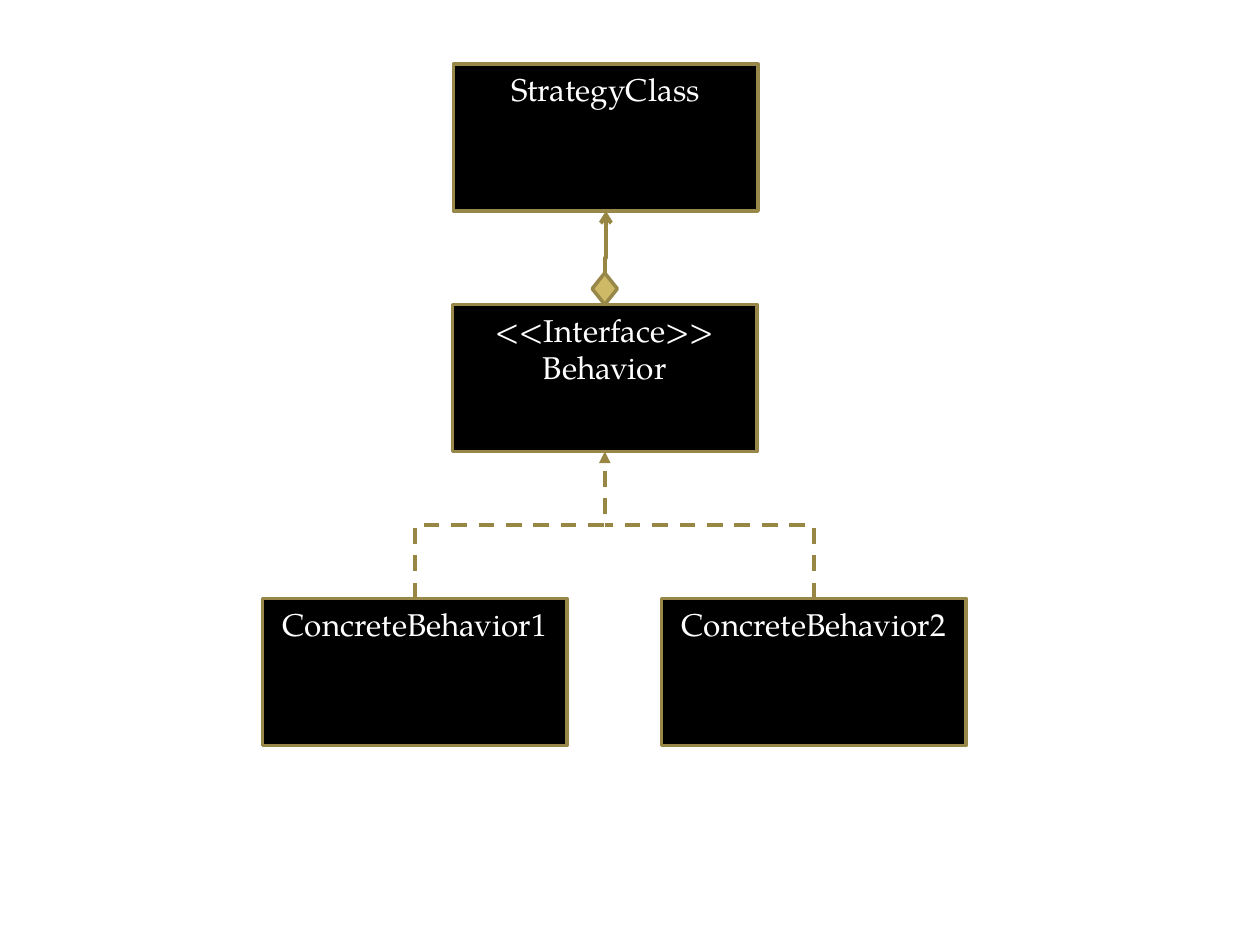
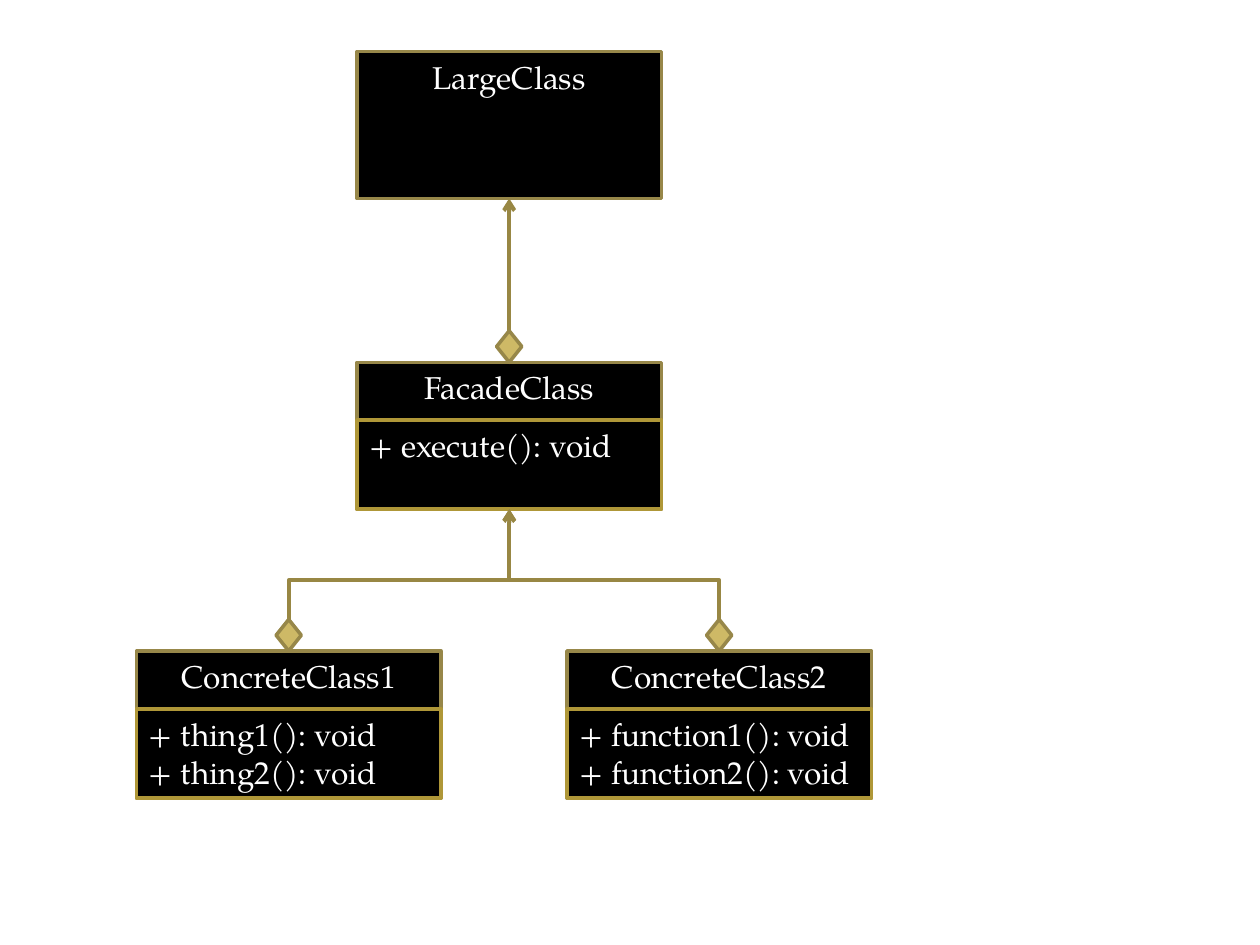
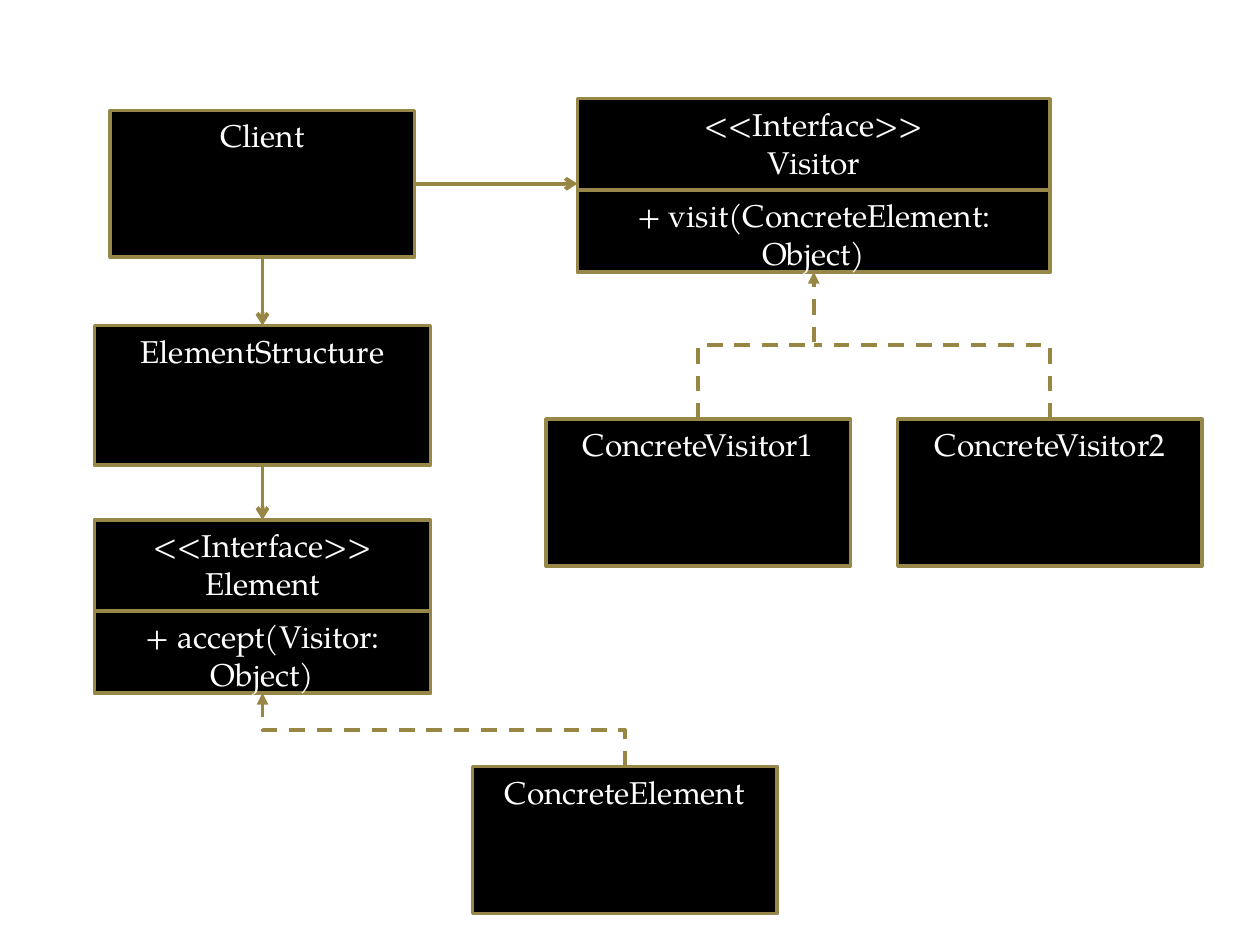
from collections import namedtuple

from lxml import etree
from pptx import Presentation, util as u
from pptx.dml.color import RGBColor
from pptx.enum import dml, shapes, text
from pptx.oxml.ns import qn

BLACK = RGBColor(0x00, 0x00, 0x00)
WHITE = RGBColor(0xFF, 0xFF, 0xFF)
EDGE = RGBColor(0x97, 0x87, 0x49)
LINK = RGBColor(0x98, 0x87, 0x44)
GOLD = RGBColor(0xAF, 0x97, 0x38)
SAND = RGBColor(0xCE, 0xB9, 0x66)
FONT = "TeX Gyre Pagella"

# The slide is a grid of 120 columns and 90 rows
CELL = u.Inches(10) // 120
WIDE, HIGH = 29, 14  # usual class box

Box = namedtuple("Box", "x y w h", defaults=(WIDE, HIGH))
LEFT, MID = text.PP_ALIGN.LEFT, text.PP_ALIGN.CENTER
KIND = shapes.MSO_SHAPE


def grid(*cells):
    return [round(c * CELL) for c in cells]


def top(box):
    return box.x + box.w / 2, box.y


def foot(box):
    return box.x + box.w / 2, box.y + box.h


def side(box):
    return box.x + box.w, box.y + box.h / 2


def add(slide, kind, box, fill, edge):
    """Draw a filled, outlined shape."""
    shape = slide.shapes.add_shape(kind, *grid(*box))
    shape.shadow.inherit = False
    shape.fill.solid()
    shape.fill.fore_color.rgb = fill
    shape.line.color.rgb = edge
    shape.line.width = u.Pt(2)
    return shape


def pane(slide, box, words, edge=EDGE, align=MID):
    """Draw one black pane with its text at the top."""
    frame = add(slide, KIND.RECTANGLE, box, BLACK, edge).text_frame
    frame.word_wrap = True
    frame.vertical_anchor = text.MSO_ANCHOR.TOP
    frame.text = words
    for para in frame.paragraphs:
        para.alignment = align
        for run in para.runs:
            run.font.size = u.Pt(18)
            run.font.name = FONT
            run.font.color.rgb = WHITE


def klass(slide, box, name, body=None, head=5.5, edge=EDGE, align=MID):
    """Draw a class: its name, and members below a head of some rows."""
    pane(slide, box, name)
    if body:
        low = Box(box.x, box.y + head, box.w, box.h - head)
        pane(slide, low, body, edge, align)
    return box


def gem(slide, box):
    """Set a diamond on the top edge of a box."""
    x, y = top(box)
    add(slide, KIND.DIAMOND, Box(x - 1.2, y - 3, 2.4, 3), SAND, EDGE)


def link(slide, start, end, tip=None, dash=False, corner=False):
    """Join two points; a bent line leaves its start upwards."""
    (x1, y1), (x2, y2) = start, end
    bent = x1 != x2 and y1 != y2
    if bent:
        # The frame lies on its side, so width and height change places
        cx, cy = (x1 + x2) / 2, (y1 + y2) / 2
        dx, dy = abs(x2 - x1) / 2, (y1 - y2) / 2
        if x2 < x1:
            dy = -dy
        x1, y1, x2, y2 = cx + dy, cy + dx, cx - dy, cy - dx
    style = shapes.MSO_CONNECTOR.ELBOW if bent else shapes.MSO_CONNECTOR.STRAIGHT
    line = slide.shapes.add_connector(style, *grid(x1, y1, x2, y2))
    props = line._element.spPr
    if bent:
        turn = 90 if x1 > x2 else 270
        props.find(qn("a:xfrm")).set("rot", str(turn * 60000))
    if corner:
        props.find(qn("a:prstGeom")).set("prst", "bentConnector2")
    line.line.color.rgb = LINK
    line.line.width = u.Pt(2.25)
    if dash:
        line.line.dash_style = dml.MSO_LINE.DASH
    if tip:
        etree.SubElement(props.find(qn("a:ln")), qn("a:tailEnd"), type=tip)
    etree.SubElement(props, qn("a:effectLst"))


def heirs(slide, base, first, second):
    """Join two dashed children to the interface above them."""
    link(slide, top(first), foot(base), "triangle", dash=True)
    x, y = foot(base)
    joint = x, (y + first.y) / 2
    link(slide, top(second), joint, dash=True, corner=True)


def strategy(slide):
    owner = klass(slide, Box(43.2, 6.1), "StrategyClass")
    base = klass(slide, Box(43.1, 29), "<<Interface>>\nBehavior")
    kids = [klass(slide, Box(x, 57), f"ConcreteBehavior{n}")
            for n, x in enumerate((25, 63), 1)]
    heirs(slide, base, *kids)
    link(slide, top(base), foot(owner), "arrow")
    gem(slide, base)


def facade(slide):
    look = dict(edge=GOLD, align=LEFT)
    large = klass(slide, Box(34, 4.9), "LargeClass")
    front = klass(slide, Box(34, 34.5), "FacadeClass", "+ execute(): void", **look)
    pairs = [(front, large)]
    for n, (x, verb) in enumerate(((13, "thing"), (54, "function")), 1):
        body = f"+ {verb}1(): void\n+ {verb}2(): void"
        kid = klass(slide, Box(x, 62), f"ConcreteClass{n}", body, **look)
        pairs.append((kid, front))
    for low, high in pairs:
        link(slide, top(low), foot(high), "arrow")
        gem(slide, low)


def visitor(slide):
    # Left column, from client to element
    client = klass(slide, Box(10.5, 10.5), "Client")
    store = klass(slide, Box(9, 31, 32, 13.3), "ElementStructure")
    item = klass(slide, Box(9, 49.5, 32, 16.5), "<<Interface>>\nElement",
                 "+ accept(Visitor: Object)", 8.7)
    part = klass(slide, Box(45, 73), "ConcreteElement")
    link(slide, foot(client), top(store), "arrow")
    link(slide, foot(store), top(item), "arrow")
    link(slide, top(part), foot(item), "triangle", dash=True)

    # Right column, the visitors
    base = klass(slide, Box(55, 9.4, 45, 16.5), "<<Interface>>\nVisitor",
                 "+ visit(ConcreteElement: Object)", 8.7)
    kids = [klass(slide, Box(x, 39.9), f"ConcreteVisitor{n}")
            for n, x in enumerate((52, 85.5), 1)]
    heirs(slide, base, *kids)
    start = side(client)
    link(slide, start, (base.x, start[1]), "arrow")


def main():
    deck = Presentation()
    deck.slide_width, deck.slide_height = grid(120, 90)
    for draw in (strategy, facade, visitor):
        draw(deck.slides.add_slide(deck.slide_layouts[6]))
    deck.save("out.pptx")


if __name__ == "__main__":
    main()
